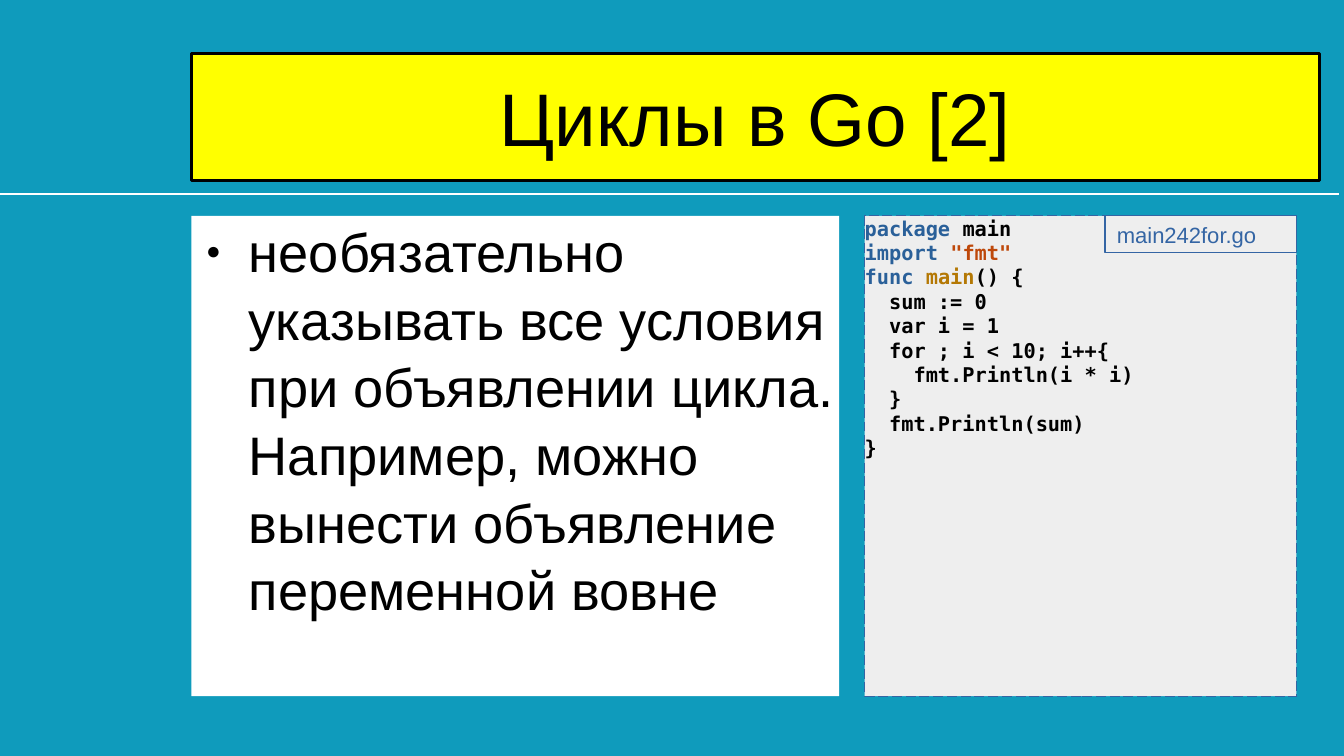
from lxml import etree
from pptx import Presentation
from pptx.dml.color import RGBColor
from pptx.enum.dml import MSO_LINE
from pptx.enum.shapes import MSO_CONNECTOR, MSO_SHAPE
from pptx.enum.text import MSO_ANCHOR, MSO_AUTO_SIZE, PP_ALIGN
from pptx.oxml.ns import qn
from pptx.util import Inches, Pt

TITLE = "Циклы в Go [2]"
BODY = ("необязательно указывать все условия при объявлении цикла. "
        "Например, можно вынести объявление переменной вовне")
FILE_NAME = "main242for.go"
CODE = [
    [("package", "keyword"), (" main", "text")],
    [("import ", "keyword"), ('"fmt"', "string")],
    [("func ", "keyword"), ("main", "function"), ("() {", "text")],
    [("  sum := 0", "text")],
    [("  var i = 1", "text")],
    [("  for ; i < 10; i++{", "text")],
    [("    fmt.Println(i * i)", "text")],
    [("  }", "text")],
    [("  fmt.Println(sum)", "text")],
    [("}", "text")],
]
COLORS = {
    "background": "0F9BBC", "white": "FFFFFF", "title": "FFFF00",
    "text": "000000", "panel": "EEEEEE", "outline": "3465A4",
    "keyword": "2A6099", "string": "BE480A", "function": "B47804",
}
SANS, MONO = "Arial", "DejaVu Sans Mono"

LEFT, TOP, HEIGHT = 1.57, 1.77, 3.94
BODY_WIDTH, GAP, CODE_WIDTH = 5.31, 0.21, 3.54
TAG_WIDTH, TAG_HEIGHT = 1.57, 0.3
CODE_LEFT = LEFT + BODY_WIDTH + GAP
TAG_LEFT = CODE_LEFT + CODE_WIDTH - TAG_WIDTH


def color(name):
    return RGBColor.from_string(COLORS[name])


def place(shape, left, top, width, height):
    shape.left, shape.top = Inches(left), Inches(top)
    shape.width, shape.height = Inches(width), Inches(height)


def paint(shape, fill=None, line=None, width=0):
    if fill:
        shape.fill.solid()
        shape.fill.fore_color.rgb = color(fill)
    else:
        shape.fill.background()
    if line:
        shape.line.color.rgb = color(line)
        shape.line.width = Pt(width)


def set_frame(shape, anchor, inset_x=0, inset_y=0):
    frame = shape.text_frame
    frame.word_wrap = True
    frame.auto_size = MSO_AUTO_SIZE.NONE
    frame.vertical_anchor = anchor
    frame.margin_left = frame.margin_right = Inches(inset_x)
    frame.margin_top = frame.margin_bottom = Inches(inset_y)
    return frame


def write(paragraph, text, size, name, font=SANS, bold=False, align=PP_ALIGN.LEFT):
    paragraph.alignment = align
    run = paragraph.add_run()
    run.text = text
    run.font.size, run.font.name, run.font.bold = Pt(size), font, bold
    run.font.color.rgb = color(name)


def add_bullet(paragraph, indent, hang, percent, symbol):
    props = paragraph._p.get_or_add_pPr()
    props.set("marL", str(Inches(indent)))
    props.set("indent", str(-Inches(hang)))
    tint = etree.SubElement(props, qn("a:buClr"))
    etree.SubElement(tint, qn("a:srgbClr"), val=COLORS["text"])
    etree.SubElement(props, qn("a:buSzPct"), val=str(percent * 1000))
    etree.SubElement(props, qn("a:buFont"), typeface=SANS)
    etree.SubElement(props, qn("a:buChar"), char=symbol)


def add_box(group, left, top, width, height):
    box = group.shapes.add_shape(MSO_SHAPE.RECTANGLE, 0, 0, 0, 0)
    place(box, left, top, width, height)
    box.shadow.inherit = False
    return box


prs = Presentation()
prs.slide_width, prs.slide_height = Inches(11.02), Inches(6.2)
slide = prs.slides.add_slide(prs.slide_layouts[1])
slide.background.fill.solid()
slide.background.fill.fore_color.rgb = color("background")

rule = slide.shapes.add_connector(
    MSO_CONNECTOR.STRAIGHT, 0, Inches(1.59), Inches(10.98), Inches(1.59))
rule.line.color.rgb = color("white")
rule.line.width = Pt(1.5)
etree.SubElement(rule._element.spPr, qn("a:effectLst"))

title = slide.shapes.title
place(title, LEFT, 0.44, 9.25, 1.04)
paint(title, "title", "text", 1.5)
frame = set_frame(title, MSO_ANCHOR.MIDDLE)
write(frame.paragraphs[0], TITLE, 44, "text", align=PP_ALIGN.CENTER)

body = slide.placeholders[1]
place(body, LEFT, TOP, BODY_WIDTH, HEIGHT)
paint(body, "white")
paragraph = set_frame(body, MSO_ANCHOR.TOP).paragraphs[0]
paragraph.line_spacing = 1.04
paragraph.space_before = Pt(0)
write(paragraph, BODY, 32, "text")
add_bullet(paragraph, 0.47, 0.35, 45, "●")

listing = slide.shapes.add_group_shape()
panel = add_box(listing, CODE_LEFT, TOP, CODE_WIDTH, HEIGHT)
paint(panel, "panel", "outline")
panel.line.dash_style = MSO_LINE.LONG_DASH
frame = set_frame(panel, MSO_ANCHOR.TOP)
for number, tokens in enumerate(CODE):
    paragraph = frame.add_paragraph() if number else frame.paragraphs[0]
    for text, kind in tokens:
        write(paragraph, text, 12, kind, MONO, bold=True)

tag = add_box(listing, TAG_LEFT, TOP, TAG_WIDTH, TAG_HEIGHT)
paint(tag, line="outline")
frame = set_frame(tag, MSO_ANCHOR.TOP, 0.1, 0.05)
write(frame.paragraphs[0], FILE_NAME, 13, "outline")

prs.save("out.pptx")
